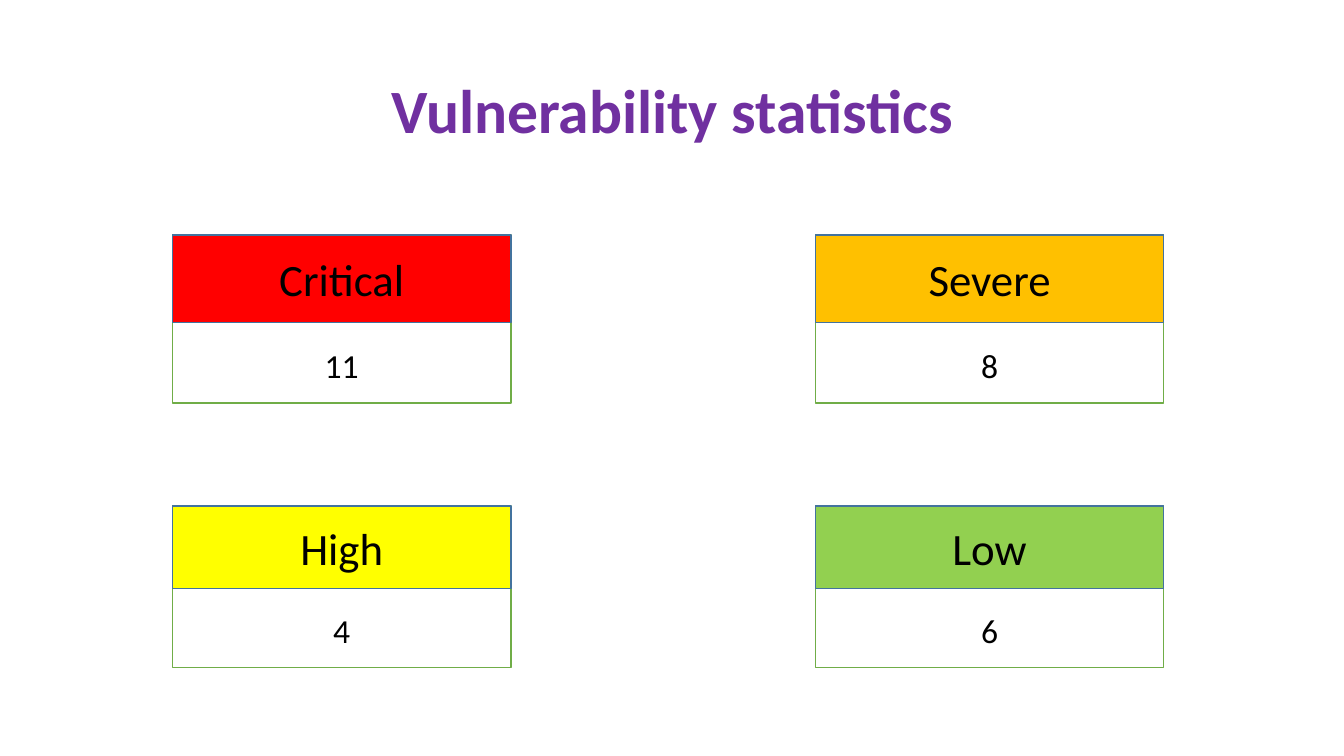
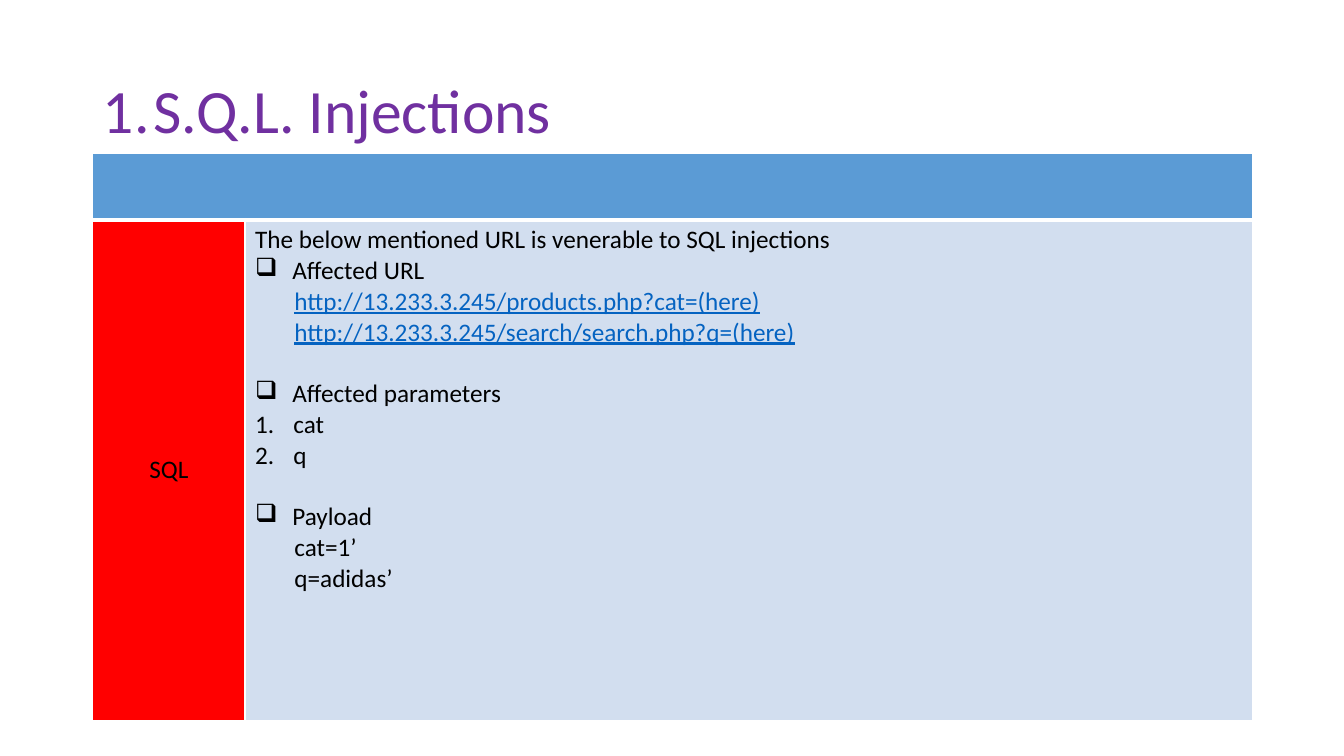
import lxml.etree
import pptx
import pptx.dml.color
import pptx.enum.shapes
import pptx.enum.text
import pptx.oxml.ns
import pptx.util

Inches = pptx.util.Inches
Pt = pptx.util.Pt
RGBColor = pptx.dml.color.RGBColor
Align = pptx.enum.text.PP_ALIGN
Anchor = pptx.enum.text.MSO_ANCHOR
qn = pptx.oxml.ns.qn

FONT = "Calibri"
PURPLE = RGBColor(0x70, 0x30, 0xA0)
BLACK = RGBColor(0x00, 0x00, 0x00)
WHITE = RGBColor(0xFF, 0xFF, 0xFF)
RED = RGBColor(0xFF, 0x00, 0x00)
ORANGE = RGBColor(0xFF, 0xC0, 0x00)
YELLOW = RGBColor(0xFF, 0xFF, 0x00)
LIGHT_GREEN = RGBColor(0x92, 0xD0, 0x50)
GREEN = RGBColor(0x70, 0xAD, 0x47)
DARK_BLUE = RGBColor(0x43, 0x73, 0x9E)
HEADER_BLUE = RGBColor(0x5B, 0x9B, 0xD5)
PALE_BLUE = RGBColor(0xD2, 0xDE, 0xEF)
LINK_BLUE = RGBColor(0x05, 0x63, 0xC1)

TITLE_BOX = (0.92, 0.4, 11.5, 1.45)
BLANK_LINE = 22

LEAD = {}
CHECK = {"indent": 0.37, "bullet": ("a:buChar", "char", "❑")}
NEW_CHECK = {**CHECK, "space_before": BLANK_LINE}
NUMBER = {"indent": 0.38, "bullet": ("a:buAutoNum", "type", "arabicPeriod")}
DETAIL = {"indent": 0.39}
LINK = {**DETAIL, "color": LINK_BLUE, "underline": True}

FINDINGS = [
    ("The below mentioned URL is venerable to SQL injections", LEAD),
    ("Affected URL", CHECK),
    ("http://13.233.3.245/products.php?cat=(here)", LINK),
    ("http://13.233.3.245/search/search.php?q=(here)", LINK),
    ("Affected parameters", NEW_CHECK),
    ("cat", NUMBER),
    ("q", NUMBER),
    ("Payload", NEW_CHECK),
    ("cat=1’", DETAIL),
    ("q=adidas’", DETAIL),
]

CARD_COLUMNS = [(1.71, 3.36), (8.09, 3.45)]
CARD_ROWS = [(2.33, 1.67, 0.87), (5.02, 1.6, 0.82)]
CARDS = [
    [("Critical", "11", RED), ("Severe", "8", ORANGE)],
    [("High", "4", YELLOW), ("Low", "6", LIGHT_GREEN)],
]


def write(paragraph, text, size=18, color=BLACK, bold=False, underline=False,
          align=Align.LEFT, indent=0, bullet=None, tab=None,
          space_before=0, line_spacing=1.0):
    paragraph.alignment = align
    paragraph.space_before = Pt(space_before)
    paragraph.line_spacing = line_spacing
    properties = paragraph._p.get_or_add_pPr()
    properties.set("marL", str(Inches(indent)))
    properties.set("indent", str(Inches(-indent if bullet else 0)))
    if bullet:
        tag, attribute, value = bullet
        lxml.etree.SubElement(properties, qn(tag)).set(attribute, value)
    if tab:
        tabs = lxml.etree.SubElement(properties, qn("a:tabLst"))
        lxml.etree.SubElement(tabs, qn("a:tab"), pos=str(Inches(tab)), algn="l")
    run = paragraph.add_run()
    run.text = text
    run.font.name = FONT
    run.font.size = Pt(size)
    run.font.bold = bold
    run.font.underline = underline
    run.font.color.rgb = color


def add_titled_slide(presentation, text, **text_format):
    slide = presentation.slides.add_slide(presentation.slide_layouts[5])
    title = slide.shapes.title
    title.left, title.top, title.width, title.height = map(Inches, TITLE_BOX)
    frame = title.text_frame
    frame.auto_size = pptx.enum.text.MSO_AUTO_SIZE.NONE
    frame.vertical_anchor = Anchor.MIDDLE
    write(frame.paragraphs[0], text, size=44, color=PURPLE, line_spacing=0.9,
          **text_format)
    return slide


def add_box(slide, box, fill, line, text, size, margin_top=0.05):
    shape = slide.shapes.add_shape(
        pptx.enum.shapes.MSO_SHAPE.RECTANGLE, *map(Inches, box))
    shape.shadow.inherit = False
    shape.fill.solid()
    shape.fill.fore_color.rgb = fill
    shape.line.color.rgb = line
    shape.line.width = Pt(1)
    frame = shape.text_frame
    frame.word_wrap = True
    frame.vertical_anchor = Anchor.MIDDLE
    frame.margin_top = Inches(margin_top)
    write(frame.paragraphs[0], text, size=size, align=Align.CENTER)


def add_card(slide, box, header_height, label, count, color):
    left, top, width, height = box
    add_box(slide, box, WHITE, GREEN, count, 24, margin_top=header_height + 0.1)
    add_box(slide, (left, top, width, header_height), color, DARK_BLUE, label, 32)


def format_cell(cell, fill, bottom=1, top=1):
    properties = cell._tc.get_or_add_tcPr()
    for tag, width in (("lnL", 1), ("lnR", 1), ("lnT", top), ("lnB", bottom)):
        border = lxml.etree.SubElement(
            properties, qn("a:" + tag), w=str(Pt(width)))
        solid = lxml.etree.SubElement(border, qn("a:solidFill"))
        lxml.etree.SubElement(solid, qn("a:srgbClr"), val=str(WHITE))
    cell.fill.solid()
    cell.fill.fore_color.rgb = fill


def add_finding_table(slide, box, label_width, header_height, label, findings):
    left, top, width, height = box
    table = slide.shapes.add_table(2, 2, *map(Inches, box)).table
    table.columns[0].width = Inches(label_width)
    table.columns[1].width = Inches(width - label_width)
    table.rows[0].height = Inches(header_height)
    table.rows[1].height = Inches(height - header_height)

    for cell in table.rows[0].cells:
        format_cell(cell, HEADER_BLUE, bottom=3)
    table.cell(0, 0).merge(table.cell(0, 1))

    label_cell, detail_cell = table.rows[1].cells
    format_cell(label_cell, RED, top=3)
    label_cell.vertical_anchor = Anchor.MIDDLE
    write(label_cell.text_frame.paragraphs[0], label, align=Align.CENTER)

    format_cell(detail_cell, PALE_BLUE, top=3)
    detail_cell.vertical_anchor = Anchor.TOP
    frame = detail_cell.text_frame
    for index, (text, text_format) in enumerate(findings):
        paragraph = frame.add_paragraph() if index else frame.paragraphs[0]
        write(paragraph, text, **text_format)


def build_statistics_slide(presentation):
    slide = add_titled_slide(presentation, "Vulnerability statistics",
                             bold=True, align=Align.CENTER)
    for (top, height, header_height), cards in zip(CARD_ROWS, CARDS):
        for (left, width), card in zip(CARD_COLUMNS, cards):
            add_card(slide, (left, top, width, height), header_height, *card)


def build_injection_slide(presentation):
    slide = add_titled_slide(presentation, "1.\tS.Q.L. Injections", tab=0.86)
    add_finding_table(slide, (0.92, 1.52, 11.5, 5.63), 1.51, 0.66, "SQL", FINDINGS)


def main():
    presentation = pptx.Presentation()
    presentation.slide_width = Inches(13.33)
    presentation.slide_height = Inches(7.5)
    build_statistics_slide(presentation)
    build_injection_slide(presentation)
    presentation.save("out.pptx")


if __name__ == "__main__":
    main()
